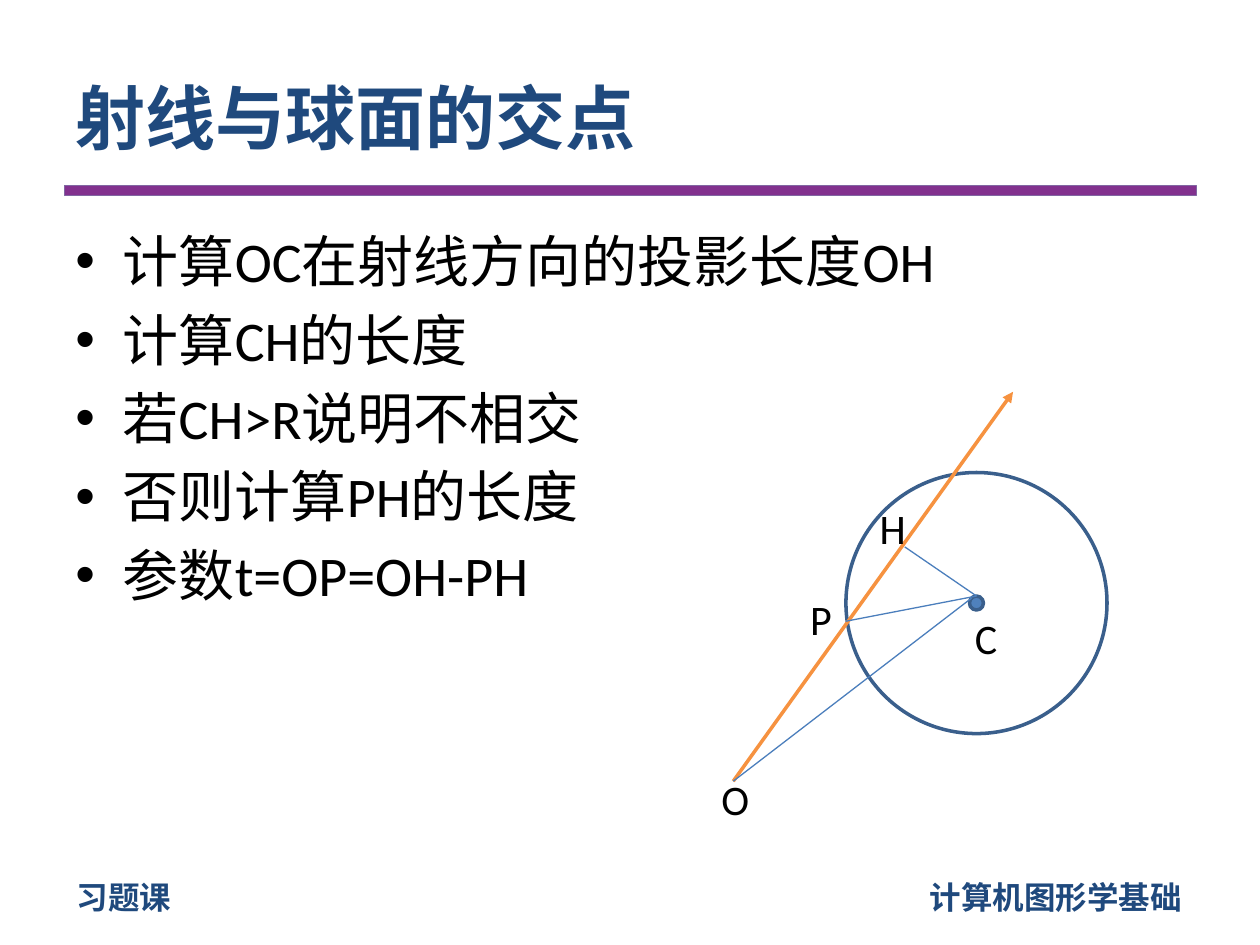
from dataclasses import dataclass

from lxml.etree import SubElement
from pptx import Presentation
from pptx.dml.color import RGBColor
from pptx.enum.shapes import MSO_CONNECTOR, MSO_SHAPE
from pptx.enum.text import MSO_ANCHOR, PP_ALIGN
from pptx.oxml.ns import qn
from pptx.util import Pt


@dataclass(frozen=True)
class Theme:
    """Fonts, colours and type sizes of the slide."""
    font: str = "Calibri"
    footer_font: str = "Noto Sans CJK SC"
    navy: str = "1F497D"
    black: str = "000000"
    bar: str = "82318E"
    bar_edge: str = "8166A2"
    outline: str = "3A5F8C"
    dot: str = "4F81BD"
    segment: str = "4B7EBC"
    ray: str = "F69240"
    title_size: int = 40
    body_size: int = 32
    label_size: int = 24
    footer_size: int = 18


THEME = Theme()
STEPS = ["计算OC在射线方向的投影长度OH", "计算CH的长度", "若CH>R说明不相交",
         "否则计算PH的长度", "参数t=OP=OH-PH"]


def color(value):
    """Turn a hex string into a colour."""
    return RGBColor.from_string(value)


def format_text(text_frame, size, text_color, bold=False, font=THEME.font,
                align=PP_ALIGN.LEFT):
    """Format every paragraph and run of a text frame."""
    for paragraph in text_frame.paragraphs:
        paragraph.alignment = align
        for run in paragraph.runs:
            run.font.name = font
            run.font.size = Pt(size)
            run.font.bold = bold
            run.font.color.rgb = color(text_color)
            if font == THEME.footer_font:
                SubElement(run._r.get_or_add_rPr(), qn("a:ea"), typeface=font)


def add_title(slide, text):
    """Place and format the title placeholder."""
    title = slide.shapes.title
    title.left, title.top, title.width, title.height = Pt(36), Pt(21.6), Pt(568), Pt(90)
    title.text_frame.text = text
    title.text_frame.vertical_anchor = MSO_ANCHOR.MIDDLE
    format_text(title.text_frame, THEME.title_size, THEME.navy, bold=True)


def add_text(slide, text, left, top, width, height, wrap=True):
    """Add a text box and return its text frame."""
    box = slide.shapes.add_textbox(Pt(left), Pt(top), Pt(width), Pt(height))
    box.text_frame.word_wrap = wrap
    box.text_frame.text = text
    return box.text_frame


def add_bullets(slide, items):
    """Add the bulleted list of steps."""
    text_frame = add_text(slide, "\n".join(items), 36, 126, 648, 356.4)
    format_text(text_frame, THEME.body_size, THEME.black)
    for paragraph in text_frame.paragraphs:
        paragraph.space_before = Pt(THEME.body_size * 0.2)
        properties = paragraph._p.get_or_add_pPr()
        properties.set("marL", str(Pt(27)))
        properties.set("indent", str(Pt(-27)))
        SubElement(properties, qn("a:buFont"), typeface="Arial")
        SubElement(properties, qn("a:buChar"), char="•")


def add_shape(slide, kind, left, top, width, height, fill, line, line_width):
    """Add a preset shape, unfilled when fill is None."""
    shape = slide.shapes.add_shape(kind, Pt(left), Pt(top), Pt(width), Pt(height))
    shape.shadow.inherit = False
    if fill:
        shape.fill.solid()
        shape.fill.fore_color.rgb = color(fill)
    else:
        shape.fill.background()
    shape.line.color.rgb = color(line)
    shape.line.width = Pt(line_width)


def add_circle(slide, center, radius, fill=None):
    """Add a circle around a center point."""
    x, y = center
    add_shape(slide, MSO_SHAPE.OVAL, x - radius, y - radius, 2 * radius, 2 * radius,
              fill, THEME.outline, 2)


def add_line(slide, start, end, line_color, width, arrow=False):
    """Add a straight line, with an arrowhead at its end if asked."""
    line = slide.shapes.add_connector(MSO_CONNECTOR.STRAIGHT,
                                      *(Pt(value) for value in (*start, *end)))
    line.line.color.rgb = color(line_color)
    line.line.width = Pt(width)
    if arrow:
        SubElement(line.line._get_or_add_ln(), qn("a:tailEnd"), type="triangle")
    SubElement(line._element.spPr, qn("a:effectLst"))


def add_label(slide, text, left, top):
    """Add the letter of a point in the diagram."""
    text_frame = add_text(slide, text, left, top, 54, 36)
    format_text(text_frame, THEME.label_size, THEME.black, align=PP_ALIGN.CENTER)


def add_footer(slide, text, left, width):
    """Add a footer text."""
    text_frame = add_text(slide, text, left, 498.2, width, 28.8, wrap=False)
    format_text(text_frame, THEME.footer_size, THEME.navy, bold=True,
                font=THEME.footer_font)


def add_diagram(slide):
    """Draw the ray, the sphere and the segments between their points."""
    center, origin = (558, 344.6), (419, 446.4)
    center_top = (558, 340.6)
    add_circle(slide, center, 74.6)
    add_line(slide, origin, (578.9, 223.9), THEME.ray, 2, arrow=True)
    add_circle(slide, center, 4, THEME.dot)
    segments = [((555.2, 341.8), origin), (center_top, (517, 312.5)),
                (center_top, (483.4, 355))]
    for start, end in segments:
        add_line(slide, start, end, THEME.segment, 0.75)
    labels = [("O", 393.1, 438.5), ("C", 536.4, 346.3), ("H", 483.1, 283.7),
              ("P", 442.1, 335.5)]
    for letter, left, top in labels:
        add_label(slide, letter, left, top)


def main():
    """Build the slide and save it."""
    presentation = Presentation()
    presentation.slide_width, presentation.slide_height = Pt(720), Pt(540)
    slide = presentation.slides.add_slide(presentation.slide_layouts[5])
    add_shape(slide, MSO_SHAPE.RECTANGLE, 36.7, 105.8, 646.6, 5.8,
              THEME.bar, THEME.bar_edge, 0.25)
    add_footer(slide, "计算机图形学基础", 524.2, 161.3)
    add_footer(slide, "习题课", 36.7, 69.1)
    add_title(slide, "射线与球面的交点")
    add_bullets(slide, STEPS)
    add_diagram(slide)
    presentation.save("out.pptx")


if __name__ == "__main__":
    main()
